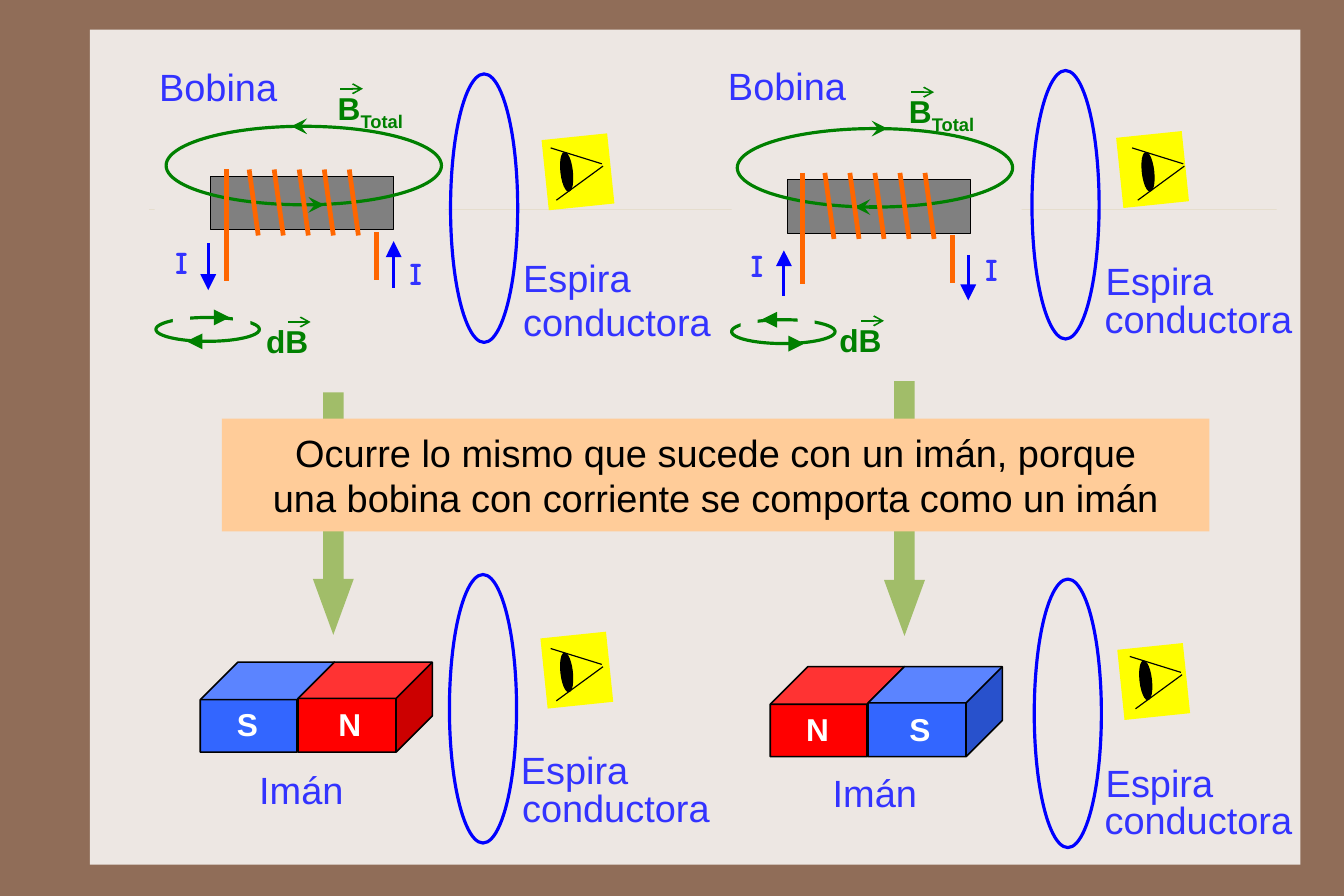
from pptx import Presentation
from pptx.dml.color import RGBColor
from pptx.enum.shapes import MSO_CONNECTOR, MSO_SHAPE as Shape
from pptx.enum.text import MSO_ANCHOR, PP_ALIGN
from pptx.oxml.ns import qn
from pptx.util import Inches, Pt
from lxml import etree

COLORS = {
    "frame": "906D58", "panel": "EDE7E3", "rule": "CBBD83", "eye": "FFFF00",
    "down": "A1BD69", "core": "808080", "field": "008000", "wire": "FF6600",
    "current": "0000FF", "label": "3333FF", "banner": "FFCC99",
    "black": "000000", "white": "FFFFFF", "N": "FF0000", "S": "3366FF",
}
BANNER = ["Ocurre lo mismo que sucede con un imán, porque",
          "una bobina con corriente se comporta como un imán"]
DOWN_ARROWS = [(7.77, 3.35, 0.36, 2.24), (2.75, 3.45, 0.36, 2.13)]
COILS = [
    {"patch": (1.36, 1.05), "ring": (1.46, 1.11), "wire": (1.99, 1.49),
     "clockwise": False, "name": (1.30, 0.47), "total": (2.87, 0.69),
     "currents": [(1.83, 2.14, 2.55), (3.46, 2.53, 2.12)],
     "current_names": [(1.44, 2.04), (3.50, 2.14)],
     "small_ring": (1.37, 2.79), "gaps": [(1.52, 2.71), (2.05, 2.72)],
     "dB": (2.24, 2.74)},
    {"patch": (6.43, 1.08), "ring": (6.48, 1.13), "wire": (7.05, 1.52),
     "clockwise": True, "name": (6.30, 0.46), "total": (7.89, 0.72),
     "currents": [(6.89, 2.60, 2.20), (8.51, 2.24, 2.64)],
     "current_names": [(6.50, 2.07), (8.56, 2.11)],
     "small_ring": (6.43, 2.81), "gaps": [(6.51, 2.74), (7.01, 2.73)],
     "dB": (7.28, 2.73)},
]
MAGNETS = [
    {"at": (1.76, 5.82), "poles": "SN", "name": (2.18, 6.65)},
    {"at": (6.77, 5.86), "poles": "NS", "name": (7.22, 6.67)},
]
LOOPS = [
    {"at": (3.96, 0.65), "eye": (4.79, 1.20), "pupil": (4.93, 1.34),
     "words": [("Espira", 4.50, 2.15), ("conductora", 4.50, 2.53)]},
    {"at": (9.07, 0.62), "eye": (9.84, 1.18), "pupil": (10.04, 1.34),
     "words": [("Espira", 9.62, 2.17), ("conductora", 9.61, 2.51)]},
    {"at": (3.95, 5.05), "eye": (4.78, 5.58), "pupil": (4.93, 5.74),
     "words": [("Espira", 4.48, 6.47), ("conductora", 4.49, 6.81)]},
    {"at": (9.09, 5.09), "eye": (9.85, 5.68), "pupil": (10.02, 5.81),
     "words": [("Espira", 9.62, 6.59), ("conductora", 9.61, 6.91)]},
]
WIDTHS = {"Bobina": 1.25, "Espira": 1.15, "conductora": 1.87, "Imán": 0.95}

presentation = Presentation()
presentation.slide_width, presentation.slide_height = Inches(189 / 16), Inches(63 / 8)
slide = presentation.slides.add_slide(presentation.slide_layouts[6])


def color(name):
    return RGBColor.from_string(COLORS[name])


def add_shape(kind, left, top, width, height, fill=None, line=None, weight=1,
              rotation=0, adjustments=()):
    shape = slide.shapes.add_shape(kind, Inches(left), Inches(top),
                                   Inches(width), Inches(height))
    shape.shadow.inherit = False
    shape.rotation = rotation
    for index, value in enumerate(adjustments):
        shape.adjustments[index] = value
    if fill:
        shape.fill.solid()
        shape.fill.fore_color.rgb = color(fill)
    else:
        shape.fill.background()
    if line:
        shape.line.color.rgb = color(line)
        shape.line.width = Pt(weight)
    else:
        shape.line.fill.background()
    return shape


def add_line(x1, y1, x2, y2, line, weight, arrow=None, size="lg"):
    connector = slide.shapes.add_connector(
        MSO_CONNECTOR.STRAIGHT, Inches(x1), Inches(y1), Inches(x2), Inches(y2))
    connector.line.color.rgb = color(line)
    connector.line.width = Pt(weight)
    if arrow:
        etree.SubElement(connector.line._get_or_add_ln(), qn("a:tailEnd"),
                         type=arrow, w=size, len=size)
    etree.SubElement(connector._element.spPr, qn("a:effectLst"))
    return connector


def set_font(paragraph, size, name, bold=False, face="Arial"):
    paragraph.font.size = Pt(size)
    paragraph.font.name = face
    paragraph.font.bold = bold
    paragraph.font.color.rgb = color(name)


def add_text(text, left, top, width, height, size, name, bold=False, face="Arial",
             inset=0.09, align=PP_ALIGN.LEFT):
    box = slide.shapes.add_textbox(Inches(left), Inches(top), Inches(width), Inches(height))
    frame = box.text_frame
    frame.word_wrap = align == PP_ALIGN.CENTER
    frame.margin_top = frame.margin_bottom = Inches(inset)
    paragraph = frame.paragraphs[0]
    paragraph.alignment = align
    paragraph.add_run().text = text
    set_font(paragraph, size, name, bold, face)
    return paragraph


def add_word(text, left, top):
    add_text(text, left, top, WIDTHS[text], 0.59, 24, "label")


def add_vector(text, left, top, width, arrow_dx):
    paragraph = add_text(text, left, top, width, 0.52, 20, "field", True)
    add_line(left + arrow_dx, top + 0.09, left + arrow_dx + 0.2, top + 0.09,
             "field", 1, "arrow", "med")
    return paragraph


def add_ring(left, top, width, height, upper, lower, clockwise, arrow):
    add_shape(Shape.OVAL, left, top, width, height, line="field", weight=2)
    for (start, end), y in ((upper, top), (lower, top + height)):
        if clockwise:
            start, end = width - start, width - end
        add_line(left + start, y, left + end, y, "field", 2, arrow)


def add_coil(coil):
    left, top = coil["patch"]
    add_shape(Shape.RECTANGLE, left, top, 2.55, 2.14, "panel")
    add_shape(Shape.RECTANGLE, left + 0.49, top + 0.5, 1.61, 0.47, "core", "black", 0.75)
    add_ring(*coil["ring"], 2.42, 0.69, (1.31, 1.1), (1.18, 1.39),
             coil["clockwise"], "stealth")
    x, y = coil["wire"]
    add_line(x, y, x, y + 0.98, "wire", 3)
    for turn in range(5):
        start = x + 0.2 + 0.22 * turn
        add_line(start, y, start + 0.08, y + 0.58, "wire", 3)
    add_line(x + 1.32, y + 0.55, x + 1.32, y + 0.97, "wire", 3)
    for x, start, end in coil["currents"]:
        add_line(x, start, x, end, "current", 2, "triangle")
    for x, y in coil["current_names"]:
        add_text("I", x, y, 0.35, 0.51, 20, "label", True, "Comic Neue")
    add_word("Bobina", *coil["name"])
    paragraph = add_vector("B", *coil["total"], 0.84, 0.12)
    subscript = paragraph.add_run()
    subscript.text = "Total"
    subscript._r.get_or_add_rPr().set("baseline", "-25000")
    add_ring(*coil["small_ring"], 0.91, 0.21, (0.48, 0.26), (0.42, 0.64),
             not coil["clockwise"], "triangle")
    for x, y in coil["gaps"]:
        add_shape(Shape.RECTANGLE, x, y, 0.15, 0.16, "panel")
    add_vector("dB", *coil["dB"], 0.57, 0.29)


def add_magnet(magnet):
    left, top = magnet["at"]
    for index, pole in enumerate(magnet["poles"]):
        add_shape(Shape.CUBE, left + 0.86 * index, top, 1.18, 0.79, pole, "black", 1,
                  adjustments=[(0.418, 0.403)[index]])
    for index, pole in enumerate(magnet["poles"]):
        add_text(pole, left + 0.14 + 0.9 * index, top + 0.33, 0.55, 0.4, 20, "white",
                 True, inset=0.05, align=PP_ALIGN.CENTER)
    add_word("Imán", *magnet["name"])


def add_loop(loop):
    add_shape(Shape.OVAL, *loop["at"], 0.59, 2.36, line="current", weight=2)
    add_shape(Shape.RECTANGLE, *loop["eye"], 0.58, 0.62, "eye", rotation=354.1)
    x, y = loop["pupil"]
    add_line(x - 0.04, y + 0.42, x + 0.37, y + 0.12, "black", 0.75)
    add_line(x + 0.36, y + 0.1, x - 0.09, y - 0.04, "black", 0.75)
    add_shape(Shape.OVAL, x, y, 0.1, 0.34, "black", "black", 0.75, 173.6)
    for word in loop["words"]:
        add_word(*word)


def add_banner():
    banner = add_shape(Shape.RECTANGLE, 1.95, 3.68, 8.68, 0.99, "banner")
    frame = banner.text_frame
    frame.word_wrap = True
    frame.vertical_anchor = MSO_ANCHOR.MIDDLE
    frame.text = "\n".join(BANNER)
    for paragraph in frame.paragraphs:
        paragraph.alignment = PP_ALIGN.CENTER
        set_font(paragraph, 24, "black")


def main():
    slide.background.fill.solid()
    slide.background.fill.fore_color.rgb = color("frame")
    add_shape(Shape.RECTANGLE, 0.79, 0.26, 10.64, 7.34, "panel")
    rule = add_line(1.31, 1.84, 11.22, 1.84, "rule", 0.25)
    rule_color = next(rule._element.iter(qn("a:srgbClr")))
    etree.SubElement(rule_color, qn("a:alpha"), val="35000")
    for arrow in DOWN_ARROWS:
        add_shape(Shape.DOWN_ARROW, *arrow, "down", adjustments=(0.5, 1.367))
    for coil in COILS:
        add_coil(coil)
    add_banner()
    for magnet in MAGNETS:
        add_magnet(magnet)
    for loop in LOOPS:
        add_loop(loop)
    presentation.save("out.pptx")


if __name__ == "__main__":
    main()
